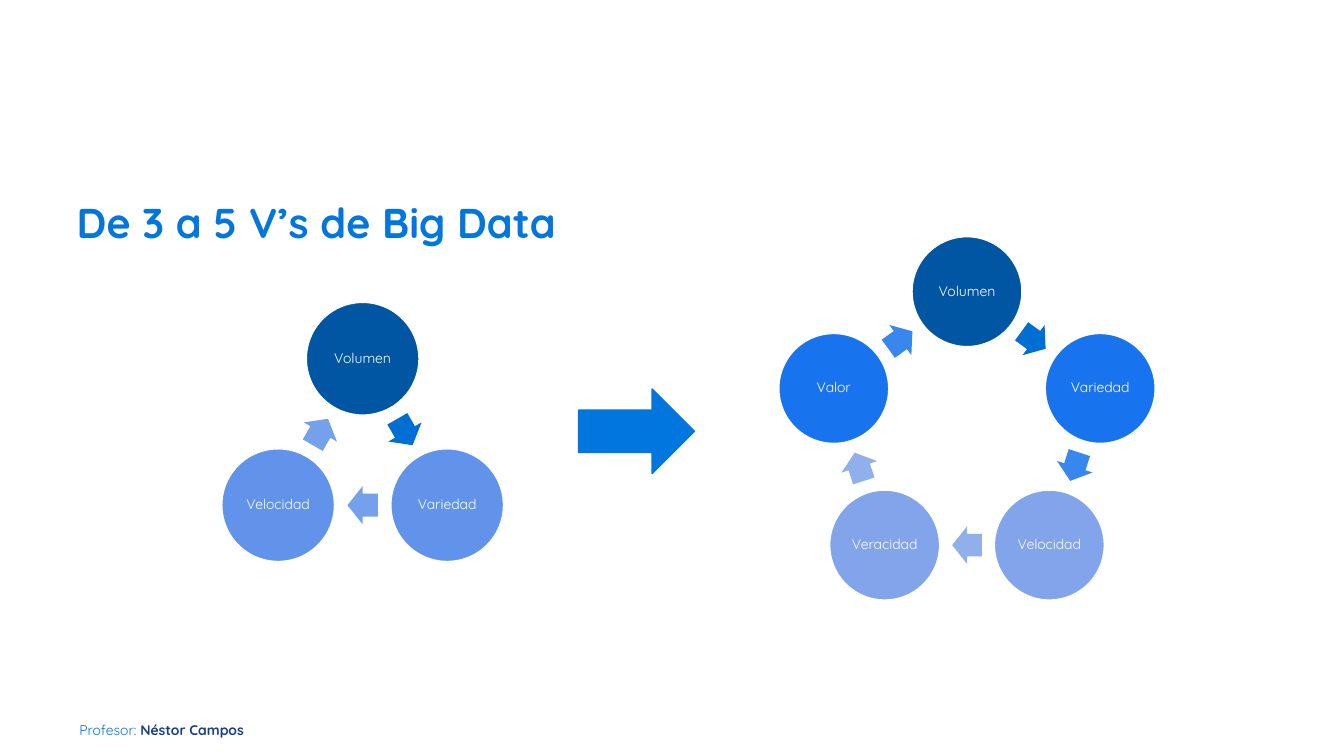
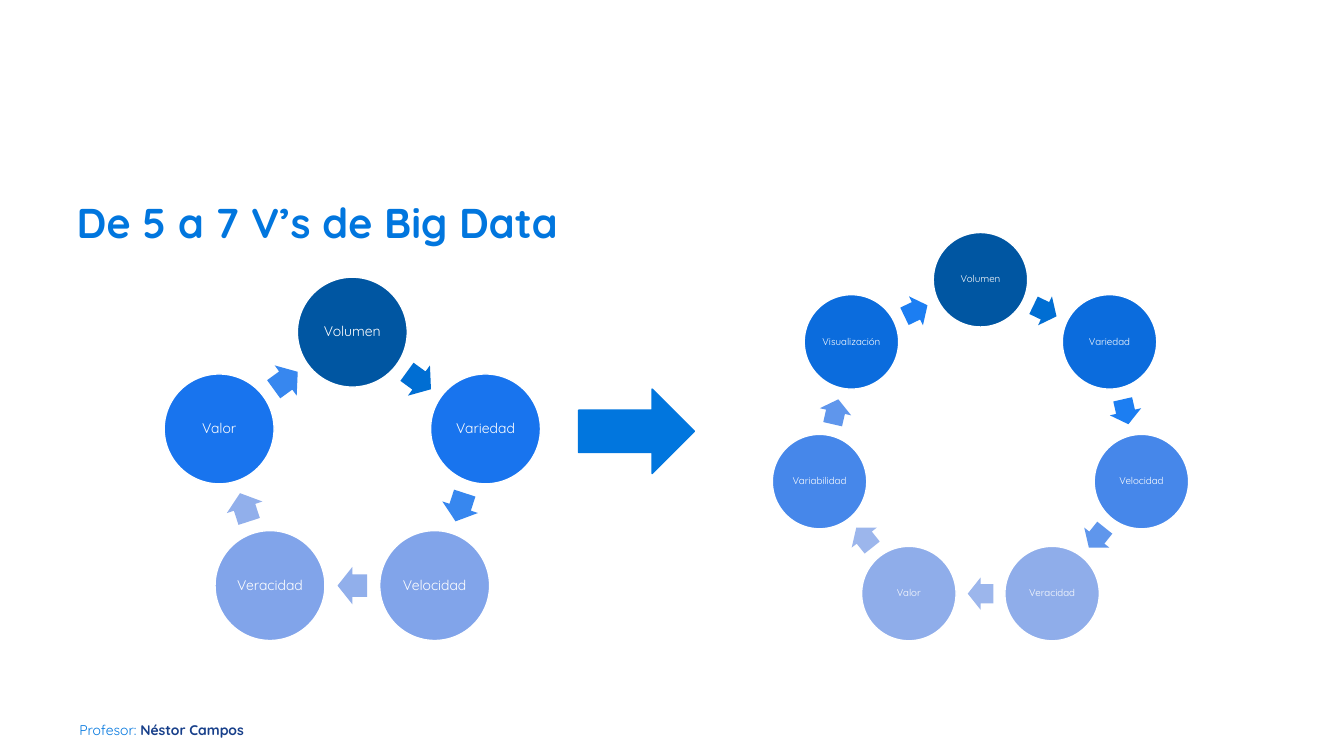
from dataclasses import dataclass
from math import cos, radians, sin

from pptx import Presentation
from pptx.dml.color import RGBColor
from pptx.enum.shapes import MSO_SHAPE
from pptx.enum.text import MSO_ANCHOR, MSO_AUTO_SIZE, PP_ALIGN
from pptx.util import Cm, Pt

FONT = "Quicksand"
WHITE = RGBColor(0xFF, 0xFF, 0xFF)
BLUE = RGBColor(0x01, 0x76, 0xDE)
NAVY = RGBColor(0x17, 0x3F, 0x8A)
DEEP = RGBColor(0x00, 0x56, 0xA2)
ROYAL = RGBColor(0x00, 0x6E, 0xD3)

NAMES = ["Volumen", "Variedad", "Velocidad", "Veracidad", "Valor",
         "Variabilidad", "Visualización"]


@dataclass
class Style:
    """Look of a ring; shades run from the top disc down each side."""
    radius: float
    disc: float
    size: int
    discs: list
    arrows: list


STYLES = {
    3: Style(2.46, 2.84, 10,
             [DEEP, RGBColor(0x60, 0x93, 0xE9)],
             [ROYAL, RGBColor(0x75, 0xA0, 0xEB)]),
    5: Style(3.53, 2.77, 10,
             [DEEP, RGBColor(0x18, 0x74, 0xEE), RGBColor(0x81, 0xA4, 0xEA)],
             [ROYAL, RGBColor(0x37, 0x87, 0xEF), RGBColor(0x91, 0xAF, 0xEB)]),
    7: Style(4.16, 2.38, 7,
             [DEEP, RGBColor(0x0B, 0x6C, 0xDD), RGBColor(0x46, 0x87, 0xEA),
              RGBColor(0x8F, 0xAD, 0xEA)],
             [ROYAL, RGBColor(0x1C, 0x7E, 0xF2), RGBColor(0x5F, 0x96, 0xEC),
              RGBColor(0x9C, 0xB6, 0xEC)]),
}


def clear(frame):
    """Remove the margins of a text frame and fix its size."""
    frame.margin_left = frame.margin_right = 0
    frame.margin_top = frame.margin_bottom = 0
    frame.word_wrap = True
    frame.auto_size = MSO_AUTO_SIZE.NONE


def style(font, size, color, bold=False):
    font.name, font.size, font.bold = FONT, Pt(size), bold
    font.color.rgb = color


def shape(parent, kind, x, y, w, h, fill, line=None):
    """Add a filled shape centred on x, y."""
    item = parent.shapes.add_shape(
        kind, Cm(x - w / 2), Cm(y - h / 2), Cm(w), Cm(h))
    item.shadow.inherit = False
    item.fill.solid()
    item.fill.fore_color.rgb = fill
    if line is None:
        item.line.fill.background()
    else:
        item.line.color.rgb = line
        item.line.width = Pt(1)
    return item


def ring(slide, x, y, count):
    """Draw a cycle of discs and arrows round the centre x, y."""
    look = STYLES[count]
    group = slide.shapes.add_group_shape()
    step = 360 / count
    reach = look.radius * cos(radians(step / 2))
    for i, name in enumerate(NAMES[:count]):
        shade = min(i, count - i)
        turn = radians(i * step)
        disc = shape(group, MSO_SHAPE.OVAL, x + look.radius * sin(turn),
                     y - look.radius * cos(turn), look.disc, look.disc,
                     look.discs[shade], WHITE)
        frame = disc.text_frame
        clear(frame)
        frame.vertical_anchor = MSO_ANCHOR.MIDDLE
        para = frame.paragraphs[0]
        para.text = name
        para.alignment = PP_ALIGN.CENTER
        para.line_spacing = 0.9
        style(para.font, look.size, WHITE)

        angle = (i + 0.5) * step
        turn = radians(angle)
        arrow = shape(group, MSO_SHAPE.RIGHT_ARROW, x + reach * sin(turn),
                      y - reach * cos(turn), look.disc * 0.27,
                      look.disc * 0.34, look.arrows[shade])
        arrow.adjustments[0] = 0.6
        arrow.rotation = angle


def footer(slide, layout):
    """Write the teacher's line and hand it to the layout."""
    box = slide.shapes.add_textbox(Cm(2), Cm(17.68), Cm(5.08), Cm(0.66))
    clear(box.text_frame)
    para = box.text_frame.paragraphs[0]
    para.line_spacing = 2.2
    for text, color, bold in [("Profesor: ", BLUE, False),
                              ("Néstor Campos", NAVY, True)]:
        run = para.add_run()
        run.text = text
        style(run.font, 10, color, bold)
    layout.shapes.element.append(box.element)


def heading(slide, text):
    title = slide.shapes.title
    title.left, title.top = Cm(1.93), Cm(4.95)
    title.width, title.height = Cm(13.16), Cm(1.78)
    clear(title.text_frame)
    title.text_frame.vertical_anchor = MSO_ANCHOR.TOP
    para = title.text_frame.paragraphs[0]
    para.text = text
    para.alignment = PP_ALIGN.LEFT
    style(para.font, 29.7, BLUE, True)


def growth(slide, before, after):
    """Show one ring leading to a larger one; each is (x, y, count)."""
    heading(slide, f"De {before[2]} a {after[2]} V’s de Big Data")
    ring(slide, *before)
    shape(slide, MSO_SHAPE.RIGHT_ARROW, 16.04, 10.87, 2.92, 2.13, BLUE, BLUE)
    ring(slide, *after)


def main():
    deck = Presentation()
    deck.slide_width, deck.slide_height = Cm(33.87), Cm(19.05)
    layout = deck.slide_layouts[5]
    first, second = [deck.slides.add_slide(layout) for _ in range(2)]
    footer(first, layout)
    growth(first, (9.14, 11.5, 3), (24.37, 10.88, 5))
    growth(second, (8.88, 11.9, 5), (24.71, 11.21, 7))
    deck.save("out.pptx")


if __name__ == "__main__":
    main()
